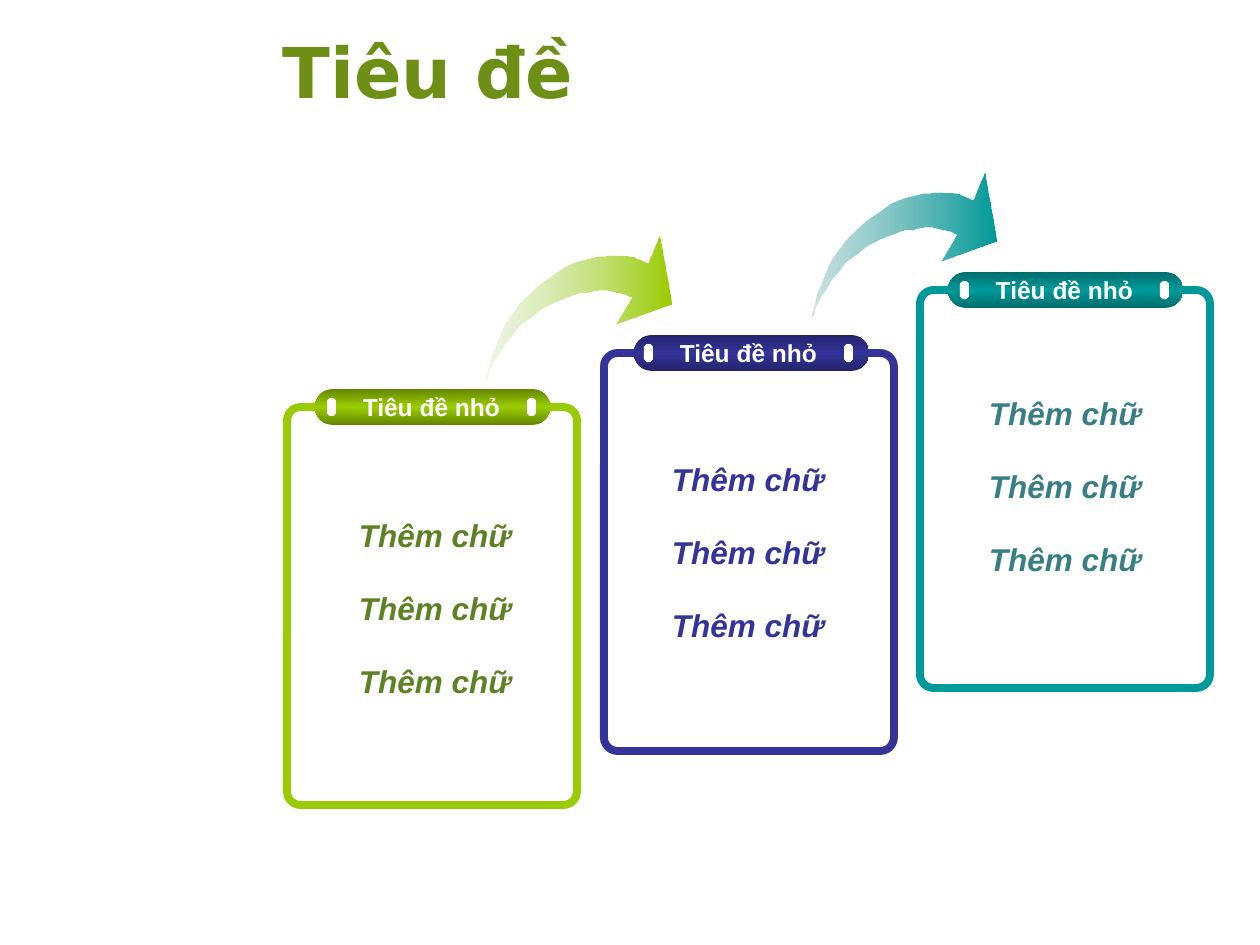
import pptx
import pptx.dml.color
import pptx.enum.shapes
import pptx.enum.text
import pptx.oxml.ns
import pptx.util
from lxml import etree

PX = 914400 / 126
SHAPE = pptx.enum.shapes.MSO_SHAPE
ALIGN = pptx.enum.text.PP_ALIGN
ANCHOR = pptx.enum.text.MSO_ANCHOR
FIT = pptx.enum.text.MSO_AUTO_SIZE

ARROW_POINTS = [
    (0, 145), (3, 141), (4, 136), (6, 131), (10, 123), (15, 116), (20, 107),
    (28, 98), (35, 89), (45, 82), (55, 74), (68, 67), (81, 62), (92, 58),
    (103, 57), (112, 55), (121, 55), (129, 57), (134, 58), (139, 59),
    (145, 62), (129, 89), (185, 69), (173, 0), (161, 28), (155, 25),
    (145, 21), (131, 20), (122, 20), (112, 21), (102, 23), (91, 26),
    (79, 31), (68, 39), (55, 48), (44, 58), (34, 68), (26, 79), (19, 89),
    (14, 101), (10, 111), (6, 120), (4, 129), (3, 135), (1, 140),
]
ARROWS = [
    (811, 173, "5AA6A6", "009999"),
    (486, 236, "CCE3B0", "99CC00"),
]
CARDS = [
    dict(x=287, y=407, pill_dx=28, items_at=(304, 510),
         color="99CC00", dark="658700", ink="5D8223"),
    dict(x=604, y=353, pill_dx=30, items_at=(617, 454),
         color="333399", dark="24246D", ink="333399"),
    dict(x=920, y=290, pill_dx=28, items_at=(934, 388),
         color="009999", dark="006D6D", ink="377F85"),
]
ITEMS = ["Thêm chữ"] * 3
ITEM_STEP = 73


def px(n):
    """Turn pixels into EMU."""
    return pptx.util.Emu(round(n * PX))


def rgb(color):
    """Turn a hex string into a colour."""
    return pptx.dml.color.RGBColor.from_string(color)


def set_gradient(sp, stops, angle):
    """Fill a shape with (percent, colour, opacity percent) stops."""
    sp.fill.gradient()
    sp.fill.gradient_angle = angle
    qn = pptx.oxml.ns.qn
    gs_list = next(sp._element.spPr.iter(qn("a:gsLst")))
    for gs in list(gs_list):
        gs_list.remove(gs)
    for position, color, opacity in stops:
        gs = etree.SubElement(gs_list, qn("a:gs"), pos=str(position * 1000))
        clr = etree.SubElement(gs, qn("a:srgbClr"), val=color)
        if opacity < 100:
            etree.SubElement(clr, qn("a:alpha"), val=str(opacity * 1000))


def add_box(shapes, kind, x, y, w, h, adj, fill=None, line=None):
    """Add a preset shape with an optional solid fill and outline."""
    sp = shapes.add_shape(kind, px(x), px(y), px(w), px(h))
    sp.shadow.inherit = False
    sp.adjustments[0] = adj
    if fill:
        sp.fill.solid()
        sp.fill.fore_color.rgb = rgb(fill)
    else:
        sp.fill.background()
    if line:
        sp.line.color.rgb = rgb(line)
        sp.line.width = pptx.util.Pt(4.5)
    else:
        sp.line.fill.background()
    return sp


def add_text(shapes, text, x, y, w, h, *, size, color, font="Arial",
             italic=False, align=ALIGN.CENTER, anchor=ANCHOR.TOP,
             wrap=True, fit=FIT.SHAPE_TO_FIT_TEXT):
    """Add a bold one-line text box."""
    tf = shapes.add_textbox(px(x), px(y), px(w), px(h)).text_frame
    tf.word_wrap = wrap
    tf.auto_size = fit
    tf.vertical_anchor = anchor
    p = tf.paragraphs[0]
    p.alignment = align
    r = p.add_run()
    r.text = text
    r.font.name = font
    r.font.size = pptx.util.Pt(size)
    r.font.bold = True
    r.font.italic = italic
    r.font.color.rgb = rgb(color)


def add_arrow(shapes, x, y, tail, head):
    """Add a curved arrow that fades towards its tail."""
    builder = shapes.build_freeform(*ARROW_POINTS[0], scale=PX)
    builder.add_line_segments(ARROW_POINTS[1:], close=True)
    sp = builder.convert_to_shape(px(x), px(y))
    sp.shadow.inherit = False
    sp.line.fill.background()
    set_gradient(sp, [(0, tail, 32), (100, head, 100)], 0)


def add_card(s, x, y, pill_dx, items_at, color, dark, ink):
    """Add a framed card with a heading pill and its items."""
    shapes = s.shapes.add_group_shape().shapes
    add_box(shapes, SHAPE.ROUNDED_RECTANGLE, x, y, 290, 398, 0.047, line=color)
    pill = add_box(shapes, SHAPE.ROUNDED_RECTANGLE,
                   x + pill_dx, y - 18, 235, 36, 0.5)
    set_gradient(pill, [(0, dark, 100), (50, color, 100), (100, dark, 100)], 90)
    for slot_dx in (240, 40):
        add_box(shapes, SHAPE.OCTAGON, x + slot_dx, y - 9, 9, 18, 0.293,
                fill="FFFFFF")
    add_text(shapes, "Tiêu đề nhỏ", x + 63, y - 21, 163, 43,
             size=14, color="FFFFFF", wrap=False)
    left, top = items_at
    for i, item in enumerate(ITEMS):
        add_text(shapes, item, left, top + i * ITEM_STEP, 262, 50,
                 size=18, color=ink, italic=True)


def main():
    """Build the slide and save it."""
    prs = pptx.Presentation()
    prs.slide_width, prs.slide_height = px(1260), px(945)
    s = prs.slides.add_slide(prs.slide_layouts[6])
    add_text(s.shapes, "Tiêu đề", 270, 39, 626, 63, size=40, color="6E8F15",
             font="DejaVu Sans", align=ALIGN.LEFT, anchor=ANCHOR.MIDDLE,
             fit=FIT.NONE)
    for arrow in ARROWS:
        add_arrow(s.shapes, *arrow)
    for card in CARDS:
        add_card(s, **card)
    prs.save("out.pptx")


if __name__ == "__main__":
    main()
